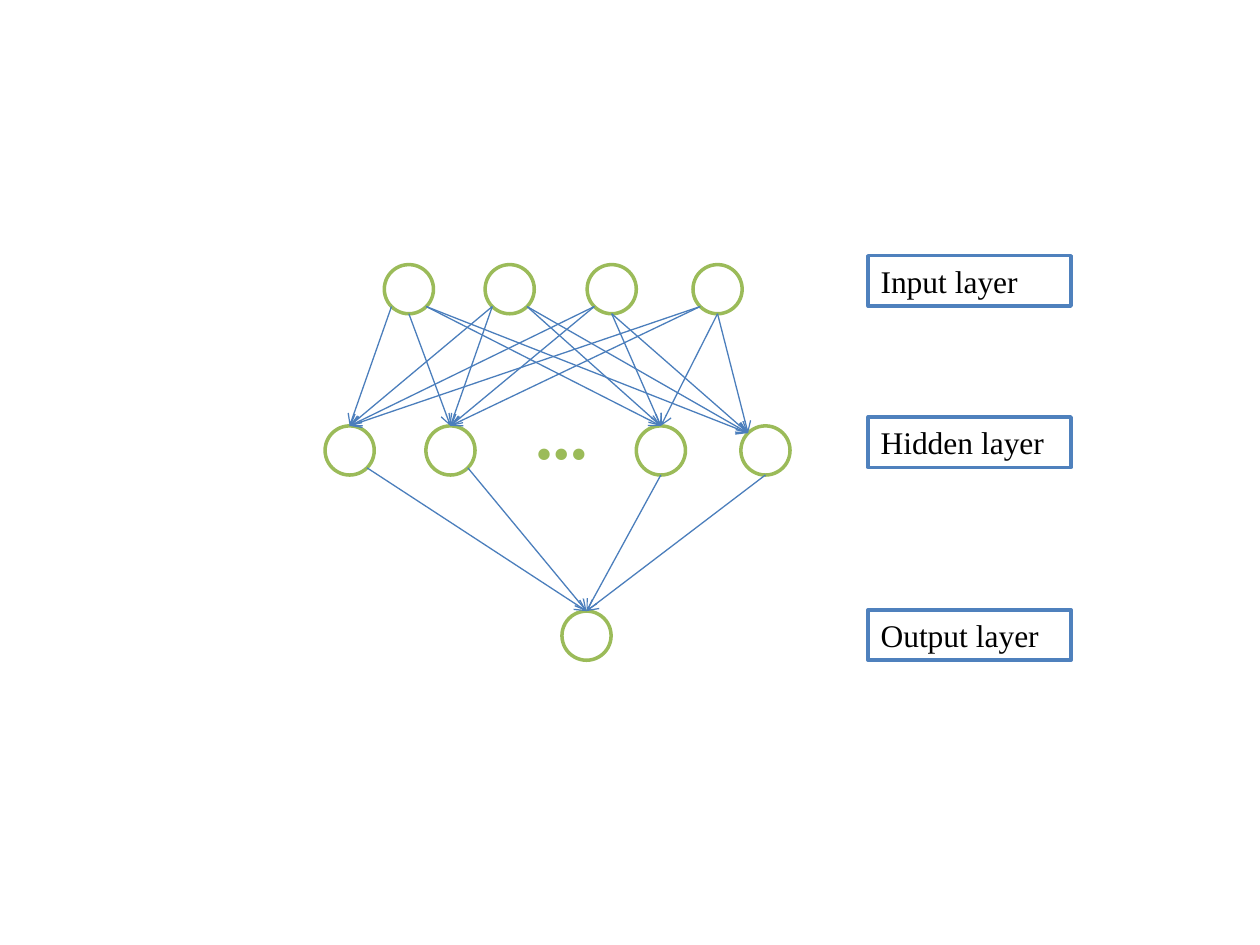
from dataclasses import dataclass
from math import sqrt

from lxml import etree
from pptx import Presentation
from pptx.dml.color import RGBColor
from pptx.enum.shapes import MSO_CONNECTOR, MSO_SHAPE
from pptx.enum.text import MSO_ANCHOR, PP_ALIGN
from pptx.oxml.ns import qn
from pptx.util import Inches, Pt

STRAIGHT = MSO_CONNECTOR.STRAIGHT
NODE = MSO_SHAPE.FLOWCHART_CONNECTOR
RECTANGLE = MSO_SHAPE.RECTANGLE
LEFT = PP_ALIGN.LEFT
TOP = MSO_ANCHOR.TOP


@dataclass(frozen=True)
class Theme:
    font: str = "Times New Roman"
    white: RGBColor = RGBColor(0xFF, 0xFF, 0xFF)
    black: RGBColor = RGBColor(0, 0, 0)
    green: RGBColor = RGBColor(0x9B, 0xBB, 0x59)
    blue: RGBColor = RGBColor(0x4F, 0x81, 0xBD)
    arrow: RGBColor = RGBColor(0x4B, 0x7E, 0xBC)
    label_size: int = 18
    dots_size: int = 40
    outline: float = 2
    thin: float = 0.75


THEME = Theme()
NODE_SIZE = 0.39
INPUT_XS = (0.47, 1.27, 2.08, 2.92)
HIDDEN_XS = (0, 0.8, 2.47, 3.3)
OUTPUT_X = 1.88
LAYER_YS = (0, 1.28, 2.75)

RADIUS = NODE_SIZE / 2
DIAGONAL = RADIUS / sqrt(2)
RIM = {
    "S": (0, RADIUS),
    "SW": (-DIAGONAL, DIAGONAL),
    "SE": (DIAGONAL, DIAGONAL),
    "NW": (-DIAGONAL, -DIAGONAL),
}
INPUT_EXITS = (
    ("SW", "S", "SE", "SE"),
    ("SW", "SW", "SE", "SE"),
    ("SW", "SW", "S", "S"),
    ("SW", "SW", "S", "S"),
)
HIDDEN_EXITS = ("SE", "SE", "S", "S")


def write_text(shape, text, *, size, color, bold=False):
    frame = shape.text_frame
    frame.word_wrap = True
    frame.vertical_anchor = TOP
    paragraph = frame.paragraphs[0]
    paragraph.alignment = LEFT
    run = paragraph.add_run()
    run.text = text
    run.font.name = THEME.font
    run.font.size = Pt(size)
    run.font.bold = bold
    run.font.color.rgb = color


def add_outlined(slide, kind, left, top, width, height, color):
    shape = slide.shapes.add_shape(
        kind, Inches(left), Inches(top), Inches(width), Inches(height)
    )
    shape.shadow.inherit = False
    shape.fill.solid()
    shape.fill.fore_color.rgb = THEME.white
    shape.line.color.rgb = color
    shape.line.width = Pt(THEME.outline)
    return shape


def add_layer(slide, left, top, offsets):
    return [
        add_outlined(slide, NODE, left + x, top, NODE_SIZE, NODE_SIZE, THEME.green)
        for x in offsets
    ]


def rim_point(node, side):
    dx, dy = RIM[side]
    return (
        node.left + node.width // 2 + Inches(dx),
        node.top + node.height // 2 + Inches(dy),
    )


def add_arrow(slide, source, target, exit_side, entry_side=None):
    start = rim_point(source, exit_side)
    end = rim_point(target, entry_side) if entry_side else start
    arrow = slide.shapes.add_connector(STRAIGHT, *start, *end)
    if entry_side is None:
        arrow.end_connect(target, 0)
    arrow.line.color.rgb = THEME.arrow
    arrow.line.width = Pt(THEME.thin)
    etree.SubElement(arrow.line._get_or_add_ln(), qn("a:tailEnd"), type="arrow")
    etree.SubElement(arrow._element.spPr, qn("a:effectLst"))


def draw_network(slide, left, top):
    inputs, hidden, outputs = (
        add_layer(slide, left, top + y, offsets)
        for y, offsets in zip(LAYER_YS, (INPUT_XS, HIDDEN_XS, (OUTPUT_X,)))
    )
    dots = slide.shapes.add_textbox(
        Inches(left + 1.57), Inches(top + 0.94), Inches(1), Inches(0.77)
    )
    write_text(dots, "...", size=THEME.dots_size, color=THEME.green, bold=True)

    for source, exits in zip(inputs, INPUT_EXITS):
        for target, side in zip(hidden, exits):
            add_arrow(slide, source, target, side, "NW" if target is hidden[-1] else None)
    for source, side in zip(hidden, HIDDEN_EXITS):
        add_arrow(slide, source, outputs[0], side)


def draw_labels(slide, left, top, width, height):
    labels = {"Input layer": 0, "Hidden layer": 1.28, "Output layer": 2.81}
    for text, y in labels.items():
        label = add_outlined(
            slide, RECTANGLE, left, top + y, width, height, THEME.blue
        )
        write_text(label, text, size=THEME.label_size, color=THEME.black)


def main():
    deck = Presentation()
    deck.slide_width, deck.slide_height = Inches(10), Inches(7.5)
    slide = deck.slides.add_slide(deck.slide_layouts[6])
    draw_network(slide, left=2.58, top=2.1)
    draw_labels(slide, left=6.89, top=2.03, width=1.61, height=0.4)
    deck.save("out.pptx")


if __name__ == "__main__":
    main()
